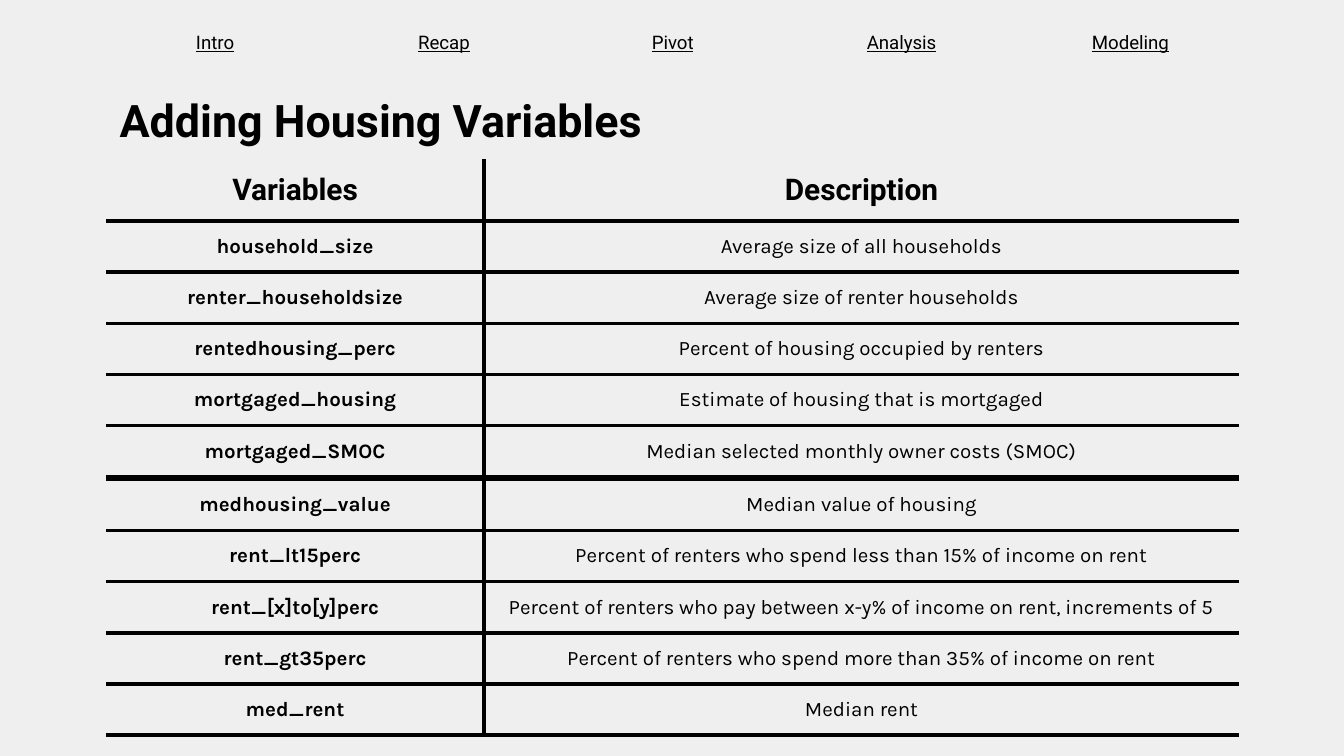
import pptx
import pptx.util
import pptx.dml.color
import pptx.enum.text
import pptx.oxml
import pptx.oxml.ns

Cm, Pt = pptx.util.Cm, pptx.util.Pt
ALIGN = pptx.enum.text.PP_ALIGN
ANCHOR = pptx.enum.text.MSO_ANCHOR

INK, PAPER = "000000", "EFEFEF"
PAD = Cm(0.25)
LEFT, WIDE = Cm(2.01), Cm(21.41)

TABS = ["Intro", "Recap", "Pivot", "Analysis", "Modeling"]
HEAD = ("Variables", "Description")
HOMES = [
    ("household_size", "Average size of all households"),
    ("renter_householdsize", "Average size of renter households"),
    ("rentedhousing_perc", "Percent of housing occupied by renters"),
    ("mortgaged_housing", "Estimate of housing that is mortgaged"),
    ("mortgaged_SMOC", "Median selected monthly owner costs (SMOC)"),
]
RENTS = [
    ("medhousing_value", "Median value of housing"),
    ("rent_lt15perc", "Percent of renters who spend less than 15% of income on rent"),
    ("rent_[x]to[y]perc",
     "Percent of renters who pay between x-y% of income on rent, increments of 5"),
    ("rent_gt35perc", "Percent of renters who spend more than 35% of income on rent"),
    ("med_rent", "Median rent"),
]


def tint(code):
    return pptx.dml.color.RGBColor.from_string(code)


def write(frame, text, size, face="Roboto", bold=False, line=False, align=ALIGN.CENTER):
    """Put one run of text in a frame."""
    frame.word_wrap = True
    para = frame.paragraphs[0]
    para.alignment = align
    run = para.add_run()
    run.text = text
    font = run.font
    font.size, font.name = Pt(size), face
    font.bold, font.underline = bold, line
    font.color.rgb = tint(INK)


def pad(item):
    """Give a text frame or a table cell equal margins."""
    item.margin_left = item.margin_right = PAD
    item.margin_top = item.margin_bottom = PAD


def label(slide, box, text, size, **style):
    frame = slide.shapes.add_textbox(*box).text_frame
    pad(frame)
    write(frame, text, size, **style)


def rule(cell, sides):
    """Draw the named sides (of L, R, T, B) and clear the others."""
    props = cell._tc.get_or_add_tcPr()
    space = pptx.oxml.ns.nsdecls("a")
    for side in "LRTB":
        fill = "<a:noFill/>"
        if side in sides:
            fill = f'<a:solidFill><a:srgbClr val="{INK}"/></a:solidFill>'
        props.append(pptx.oxml.parse_xml(
            f'<a:ln{side} {space} w="{Pt(2.25)}">{fill}</a:ln{side}>'))


def menu(slide, box):
    """Row of evenly spread links."""
    left, top, wide, high = box
    each = Cm(4.11)
    step = (wide - each) // (len(TABS) - 1)
    for i, text in enumerate(TABS):
        label(slide, (left + i * step, top, each, high), text, 10, line=True)


def title(slide, box):
    label(slide, box, "Adding Housing Variables", 24, bold=True, align=ALIGN.LEFT)


def grid(slide, box, rows, head=None):
    """Two-column table, with a header row when one is given."""
    left, top, wide, high = box
    lines = ([head] if head else []) + rows
    table = slide.shapes.add_table(len(lines), 2, left, top, wide, high).table
    table.first_row = table.horz_banding = False
    table.columns[0].width = wide // 3
    table.columns[1].width = wide - wide // 3
    for r, pair in enumerate(lines):
        for c, text in enumerate(pair):
            cell = table.cell(r, c)
            pad(cell)
            cell.vertical_anchor = ANCHOR.MIDDLE
            is_head = pair is head
            rule(cell, "RL"[c] + ("B" if is_head else "TB"))
            cell.fill.background()
            if is_head:
                write(cell.text_frame, text, 16, bold=True)
            else:
                write(cell.text_frame, text, 11, face="Karla", bold=c == 0)


def main():
    deck = pptx.Presentation()
    deck.slide_width, deck.slide_height = Cm(25.4), Cm(14.29)
    slide = deck.slides.add_slide(deck.slide_layouts[6])
    slide.background.fill.solid()
    slide.background.fill.fore_color.rgb = tint(PAPER)

    # Heading
    title(slide, (LEFT, Cm(1.5), WIDE, Cm(1.75)))

    # Tables: rows grow to fit their text
    grid(slide, (LEFT, Cm(3), WIDE, Cm(5.05)), HOMES, HEAD)
    grid(slide, (LEFT, Cm(9.06), WIDE, Cm(3.43)), RENTS)

    # Links along the top
    menu(slide, (LEFT, Cm(0.38), WIDE, Cm(0.86)))

    deck.save("out.pptx")


if __name__ == "__main__":
    main()
